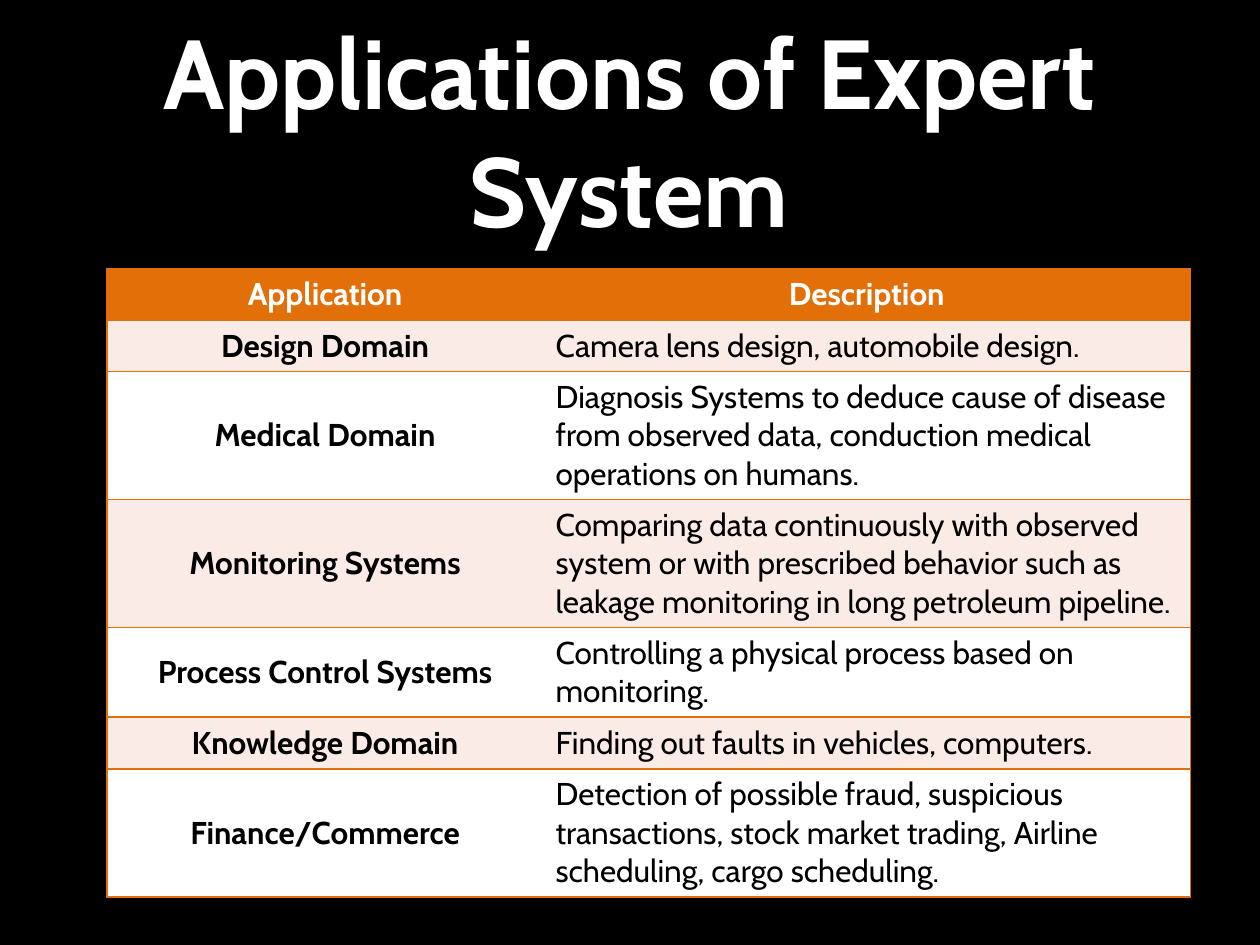
from lxml.etree import SubElement
from pptx import Presentation
from pptx.dml.color import RGBColor
from pptx.enum.text import MSO_ANCHOR, PP_ALIGN
from pptx.oxml.ns import qn
from pptx.util import Inches, Pt

FONT = "Cabin"
BLACK = RGBColor(0x00, 0x00, 0x00)
WHITE = RGBColor(0xFF, 0xFF, 0xFF)
ORANGE = RGBColor(0xE2, 0x6F, 0x08)
BLUSH = RGBColor(0xFA, 0xEB, 0xE7)

HEADER = ("Application", "Description")
APPLICATIONS = [
    ("Design Domain", "Camera lens design, automobile design."),
    ("Medical Domain", "Diagnosis Systems to deduce cause of disease from "
     "observed data, conduction medical operations on humans."),
    ("Monitoring Systems", "Comparing data continuously with observed system "
     "or with prescribed behavior such as leakage monitoring in long "
     "petroleum pipeline."),
    ("Process Control Systems",
     "Controlling a physical process based on monitoring."),
    ("Knowledge Domain", "Finding out faults in vehicles, computers."),
    ("Finance/Commerce", "Detection of possible fraud, suspicious "
     "transactions, stock market trading, Airline scheduling, "
     "cargo scheduling."),
]
COLUMN_WIDTHS = (3.46, 5.14)
ROW_HEIGHT = 0.41


def write_text(frame, text, *, size, color, bold=False, align=PP_ALIGN.LEFT):
    frame.word_wrap = True
    para = frame.paragraphs[0]
    para.alignment = align
    span = para.add_run()
    span.text = text
    span.font.name = FONT
    span.font.size = Pt(size)
    span.font.bold = bold
    span.font.color.rgb = color


def set_borders(cell, visible_sides):
    """Draw orange lines on the given sides and clear the others."""
    properties = cell._tc.get_or_add_tcPr()
    for side in "LRTB":
        line = SubElement(properties, qn(f"a:ln{side}"), w=str(Pt(1)))
        if side in visible_sides:
            fill = SubElement(line, qn("a:solidFill"))
            SubElement(fill, qn("a:srgbClr"), val=str(ORANGE))
        else:
            SubElement(line, qn("a:noFill"))


def add_title(page, text):
    title = page.shapes.title
    title.left, title.top = Inches(0.85), Inches(0.12)
    title.width, title.height = Inches(8.29), Inches(1.81)
    title.text_frame.vertical_anchor = MSO_ANCHOR.MIDDLE
    write_text(title.text_frame, text, size=56, color=WHITE, bold=True,
               align=PP_ALIGN.CENTER)


def add_applications_table(page):
    rows = [HEADER, *APPLICATIONS]
    table = page.shapes.add_table(
        len(rows), len(HEADER), Inches(0.85), Inches(2.13),
        Inches(sum(COLUMN_WIDTHS)), Inches(ROW_HEIGHT * len(rows))).table
    for column, width in zip(table.columns, COLUMN_WIDTHS):
        column.width = Inches(width)

    for row_index, texts in enumerate(rows):
        table.rows[row_index].height = Inches(ROW_HEIGHT)
        is_header = row_index == 0
        band = BLUSH if row_index % 2 else WHITE
        for column_index, text in enumerate(texts):
            cell = table.cell(row_index, column_index)
            is_label = is_header or column_index == 0
            set_borders(cell, "LTB" if column_index == 0 else "RTB")
            cell.fill.solid()
            cell.fill.fore_color.rgb = ORANGE if is_header else band
            cell.vertical_anchor = MSO_ANCHOR.MIDDLE
            write_text(cell.text_frame, text, size=18, bold=is_label,
                       color=WHITE if is_header else BLACK,
                       align=PP_ALIGN.CENTER if is_label else PP_ALIGN.LEFT)


def main():
    deck = Presentation()
    deck.slide_width, deck.slide_height = Inches(10), Inches(7.5)
    page = deck.slides.add_slide(deck.slide_layouts[5])  # Title Only

    # Black background
    page.background.fill.solid()
    page.background.fill.fore_color.rgb = BLACK

    add_title(page, "Applications of Expert System")
    add_applications_table(page)
    deck.save("out.pptx")


if __name__ == "__main__":
    main()
